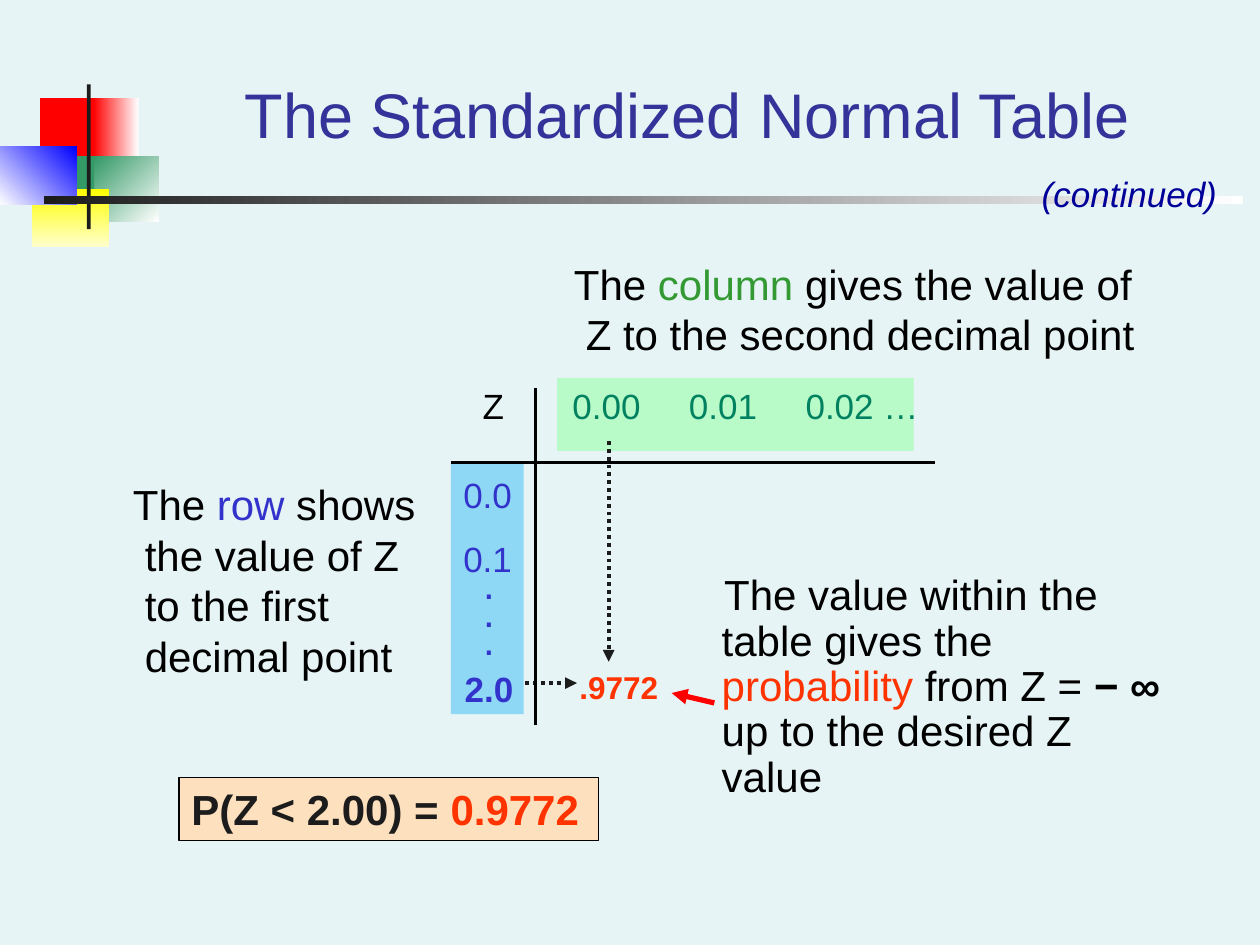
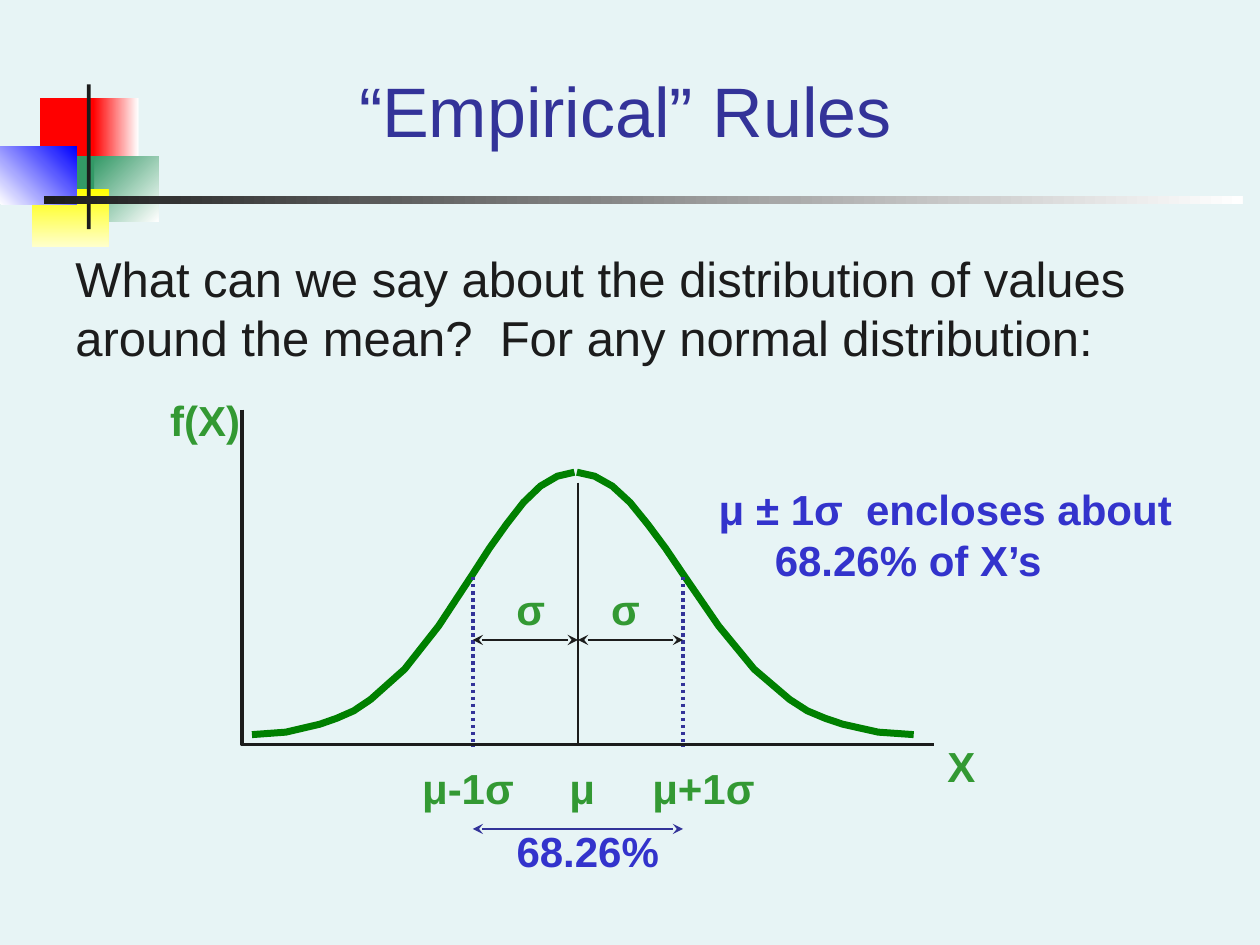
from lxml import etree
from pptx import Presentation
from pptx.dml.color import RGBColor
from pptx.enum.dml import MSO_LINE
from pptx.enum.shapes import MSO_CONNECTOR, MSO_SHAPE
from pptx.enum.text import MSO_ANCHOR, PP_ALIGN
from pptx.oxml.ns import qn
from pptx.util import Cm, Pt

RECTANGLE = MSO_SHAPE.RECTANGLE
STRAIGHT = MSO_CONNECTOR.STRAIGHT
DOTTED = MSO_LINE.ROUND_DOT
LEFT, CENTER = PP_ALIGN.LEFT, PP_ALIGN.CENTER
TOP, BOTTOM = MSO_ANCHOR.TOP, MSO_ANCHOR.BOTTOM

FONT = "Arial"
PAPER = RGBColor(0xE7, 0xF4, 0xF5)
INK = RGBColor(0x1C, 0x1C, 0x1C)
BLACK = RGBColor(0x00, 0x00, 0x00)
WHITE = RGBColor(0xFF, 0xFF, 0xFF)
RED = RGBColor(0xFF, 0x00, 0x00)
ORANGE = RGBColor(0xFF, 0x33, 0x00)
YELLOW = RGBColor(0xFF, 0xFF, 0x00)
CREAM = RGBColor(0xFF, 0xFF, 0xCC)
PEACH = RGBColor(0xFD, 0xE0, 0xBD)
BLUE = RGBColor(0x00, 0x00, 0xFF)
NAVY = RGBColor(0x00, 0x00, 0x99)
INDIGO = RGBColor(0x33, 0x33, 0x99)
VIOLET = RGBColor(0x33, 0x33, 0xCC)
SKY = RGBColor(0x8E, 0xD8, 0xF6)
MINT = RGBColor(0xB8, 0xFA, 0xC8)
SEA = RGBColor(0x33, 0x99, 0x66)
TEAL = RGBColor(0x00, 0x82, 0x60)
GREEN = RGBColor(0x33, 0x99, 0x33)
CURVE_GREEN = RGBColor(0x00, 0x80, 0x00)

ORNAMENT = [
    ((0.81, 1.98, 1.22, 1.32), RED),
    ((1.88, 1.98, 0.91, 1.32), (RED, WHITE, 0)),
    ((1.9, 3.15, 1.3, 1.32), (SEA, WHITE, 315)),
    ((1.09, 3.15, 0.81, 1.32), SEA),
    ((0.64, 3.81, 1.55, 1.17), (YELLOW, CREAM, 270)),
    ((0, 2.95, 1.55, 1.17), (WHITE, BLUE, 45)),
    ((1.75, 1.7, 0.08, 2.92), INK),
    ((0.89, 3.96, 24.16, 0.15), (INK, WHITE, 0)),
]

HANGING = {"margin": 1.6, "indent": -0.24}
TABLE_TABS = (0.39, 2.2, 4.55, 6.9)
TABLE_HEADS = ["0.00", "0.01", "0.02 …"]
TABLE_TEXT = [
    [("\tZ\t", BLACK), ("\t".join(TABLE_HEADS), TEAL)],
    [("0.0", VIOLET)],
    [("0.1", VIOLET)],
]
TABLE_NOTES = [
    ((12.7, 11.46, 11.23, 5.51),
     [[("The value within the table gives the ", BLACK), ("probability ", ORANGE),
       ("from Z = ", BLACK), ("− ∞", BLACK, True), (" up to the desired Z value", BLACK)]],
     {"margin": 1.6, "indent": 0.05, "line": 0.9}),
    ((11.43, 13.34, 2.74, 1.02), [[(".9772", ORANGE)]], {"size": 18, "bold": True}),
    ((1.07, 9.53, 7.82, 4.65),
     [[("The ", BLACK), ("row ", VIOLET),
       ("shows the value of Z to the first decimal point", BLACK)]], HANGING),
    ((9.96, 5.08, 13.34, 2.74),
     [[("The ", BLACK), ("column ", GREEN),
       ("gives the value of Z to the second decimal point", BLACK)]], HANGING),
    ((8.69, 13.34, 2.34, 1.12), [[("2.0", VIOLET)]],
     {"size": 20, "bold": True, "align": CENTER}),
    ((9.32, 11.63, 1.07, 1.8), [[(".", VIOLET)]] * 3,
     {"align": CENTER, "line": 0.4, "before": (4.5, 4.5)}),
    ((20.75, 3.35, 4.24, 1.12), [[("(continued)", NAVY)]], {"size": 20, "italic": True}),
    ((9.09, 7.62, 11, 4.19), TABLE_TEXT,
     {"size": 20, "before": (27.1, 12.5), "tabs": TABLE_TABS}),
]
RESULT = [[("P(Z < 2.00) =", INK), (" 0.9772", ORANGE)]]

MEAN, SIGMA = 11.65, 2.12
CURVE_STEPS = [0, 2, 3, 4, 5, 6, 7, 9, 11, 13, 14, 15, 16, 17, 18, 19]
CURVE_HEIGHTS = [14.81, 14.76, 14.68, 14.6, 14.48, 14.33, 14.1, 13.49,
                 12.62, 11.58, 11.05, 10.57, 10.13, 9.8, 9.6, 9.52]
CURVE_HALVES = [(5.08, 11.58), (18.42, 11.63)]
AXES = [(4.88, 8.26), (4.88, 15.01), (18.82, 15.01)]
AXIS_Y = 15.04
GRAPH_LABELS = [
    ("f(X)", 3.18, 7.82, 2.1), ("X", 18.85, 14.81, 1.2),
    ("μ-1σ", 8.26, 15.24, 2.54), ("μ", 11.23, 15.24, 1.32), ("μ+1σ", 12.9, 15.24, 2.97),
    ("σ", 10.16, 11.63, 1.2), ("σ", 12.07, 11.63, 1.2),
]


def write(frame, paragraphs, size=24, bold=False, italic=False, align=LEFT, anchor=TOP,
          margin=0, indent=0, line=None, before=(), tabs=()):
    frame.word_wrap = True
    frame.vertical_anchor = anchor
    for index, spans in enumerate(paragraphs):
        para = frame.paragraphs[0] if index == 0 else frame.add_paragraph()
        properties = para._p.get_or_add_pPr()
        if margin:
            properties.set("marL", str(Cm(margin)))
            properties.set("indent", str(Cm(indent)))
        if tabs:
            stops = etree.SubElement(properties, qn("a:tabLst"))
            for stop in tabs:
                etree.SubElement(stops, qn("a:tab"), pos=str(Cm(stop)), algn="l")
        para.alignment = align
        if line:
            para.line_spacing = line
        if index and before:
            para.space_before = Pt(before[index - 1])
        para.font.name = FONT
        para.font.size = Pt(size)
        para.font.bold = bold
        para.font.italic = italic
        for text, color, *strong in spans:
            span = para.add_run()
            span.text = text
            span.font.color.rgb = color
            if strong:
                span.font.bold = True


def add_text(page, place, paragraphs, **style):
    box = page.shapes.add_textbox(*map(Cm, place))
    write(box.text_frame, paragraphs, **style)


def add_block(page, place, paint):
    block = page.shapes.add_shape(RECTANGLE, *map(Cm, place))
    block.shadow.inherit = False
    block.line.fill.background()
    if isinstance(paint, RGBColor):
        block.fill.solid()
        block.fill.fore_color.rgb = paint
    else:
        block.fill.gradient()
        block.fill.gradient_angle = paint[2]
        for stop, color in zip(block.fill.gradient_stops, paint):
            stop.color.rgb = color
    return block


def add_line(page, start, end, color, width, dash=None, head=None, tail=None):
    line = page.shapes.add_connector(STRAIGHT, *map(Cm, start + end))
    line.line.color.rgb = color
    line.line.width = Pt(width)
    if dash:
        line.line.dash_style = dash
    outline = line.line._get_or_add_ln()
    for tag, kind in (("a:headEnd", head), ("a:tailEnd", tail)):
        if kind:
            etree.SubElement(outline, qn(tag), type=kind)
    etree.SubElement(line._element.spPr, qn("a:effectLst"))


def trace(page, points, color, width):
    corners = [(Cm(x), Cm(y)) for x, y in points]
    builder = page.shapes.build_freeform(*corners[0], scale=1.0)
    builder.add_line_segments(corners[1:], close=False)
    outline = builder.convert_to_shape()
    outline.shadow.inherit = False
    outline.fill.background()
    outline.line.color.rgb = color
    outline.line.width = Pt(width)


def add_page(deck, title, place, size):
    page = deck.slides.add_slide(deck.slide_layouts[6])
    for spot, paint in ORNAMENT:
        add_block(page, spot, paint)
    add_text(page, place, [[(title, INDIGO)]], size=size, align=CENTER, anchor=BOTTOM)
    return page


def build_table_page(deck):
    page = add_page(deck, "The Standardized Normal Table", (4.01, 0.84, 19.69, 2.34), 36)
    add_block(page, (11.23, 7.62, 7.19, 1.47), MINT)
    add_block(page, (9.09, 9.32, 1.47, 5.08), SKY)
    result = add_block(page, (3.61, 15.67, 8.46, 1.27), PEACH)
    result.line.color.rgb = BLACK
    result.line.width = Pt(0.75)
    write(result.text_frame, RESULT, bold=True)
    for place, paragraphs, style in TABLE_NOTES:
        add_text(page, place, paragraphs, **style)
    add_line(page, (14.4, 14.17), (13.54, 13.97), RED, 3, tail="triangle")
    for start, end in [((12.27, 8.89), (12.27, 13.34)), ((10.59, 13.77), (11.63, 13.77))]:
        add_line(page, start, end, INK, 2.25, DOTTED, tail="triangle")
    for start, end in [((10.8, 7.82), (10.8, 14.61)), ((9.09, 9.32), (18.85, 9.32))]:
        add_line(page, start, end, BLACK, 1.5)


def build_rules_page(deck):
    page = add_page(deck, "“Empirical” Rules", (3.18, 0.64, 18.85, 2.54), 40)
    add_text(page, (1.27, 4.88, 23.5, 2.64),
             [[("What can we say about the distribution of values around the mean?  "
                "For any normal distribution:", INK)]], size=28)
    add_text(page, (13.77, 9.63, 11.63, 2.79),
             [[("μ ± 1σ  encloses about 68.26% of X’s", VIOLET)]],
             bold=True, margin=1.6, indent=-1.13)
    trace(page, AXES, INK, 2)
    for foot, peak in CURVE_HALVES:
        stride = (peak - foot) / CURVE_STEPS[-1]
        points = [(foot + step * stride, y) for step, y in zip(CURVE_STEPS, CURVE_HEIGHTS)]
        trace(page, points, CURVE_GREEN, 4)
    low, high = MEAN - SIGMA, MEAN + SIGMA
    add_line(page, (MEAN, 9.73), (MEAN, AXIS_Y), INK, 1)
    for x in (low, high):
        add_line(page, (x, 11.63), (x, AXIS_Y), INDIGO, 2, DOTTED)
    for left, right, y, color in [(low, MEAN, 12.9, INK), (MEAN, high, 12.9, INK),
                                  (low, high, 16.71, INDIGO)]:
        add_line(page, (left, y), (right, y), color, 1, head="stealth", tail="stealth")
    for text, left, top, width in GRAPH_LABELS:
        add_text(page, (left, top, width, 1.27), [[(text, GREEN)]], bold=True)
    add_text(page, (9.9, 16.51, 3.9, 1.27), [[("68.26%", VIOLET)]], bold=True, align=CENTER)


def main():
    deck = Presentation()
    deck.slide_width, deck.slide_height = Cm(25.4), Cm(19.05)
    backdrop = deck.slide_master.background.fill
    backdrop.solid()
    backdrop.fore_color.rgb = PAPER
    build_table_page(deck)
    build_rules_page(deck)
    deck.save("out.pptx")


if __name__ == "__main__":
    main()
